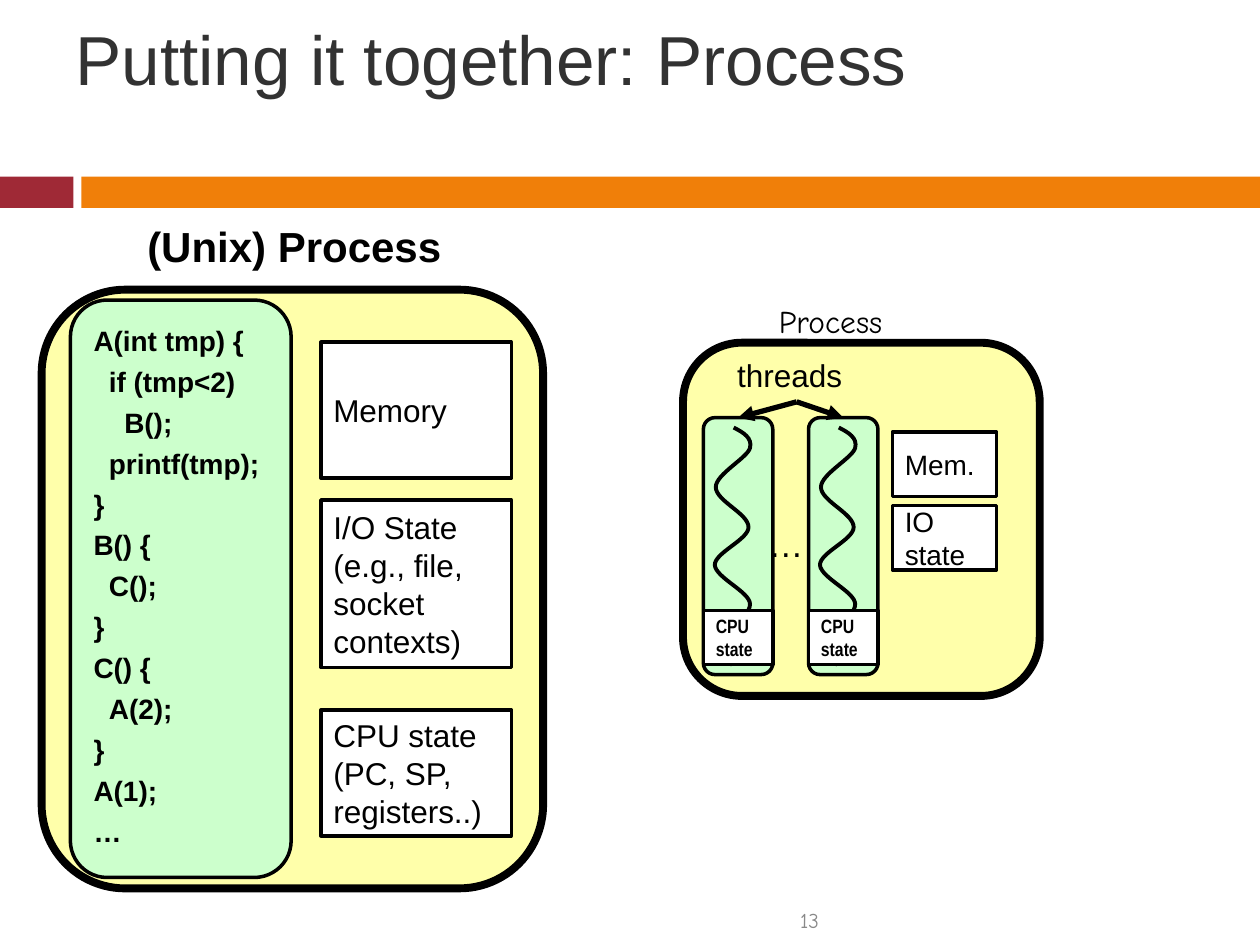
from lxml.etree import SubElement
from pptx import Presentation
from pptx.dml.color import RGBColor
from pptx.enum.shapes import MSO_CONNECTOR, MSO_SHAPE
from pptx.enum.text import MSO_ANCHOR, PP_ALIGN
from pptx.oxml.ns import qn
from pptx.util import Cm, Pt

BLACK, WHITE, YELLOW, GREEN = "000000", "FFFFFF", "FFFFAA", "CCFFCC"
CODE = [
    (0, "A(int tmp) {"), (1, "if (tmp<2)"), (2, "B();"), (1, "printf(tmp);"), (0, "}"),
    (0, "B() {"), (1, "C();"), (0, "}"),
    (0, "C() {"), (1, "A(2);"), (0, "}"),
    (0, "A(1);"), (0, "…"),
]
WAVE_START = (0.61, 0.2)
WAVE_CURVES = [
    ((0.81, 0.3), (0.99, 0.41), (0.94, 0.61)),
    ((0.89, 0.81), (0.25, 1.14), (0.25, 1.4)),
    ((0.25, 1.68), (0.91, 1.93), (0.91, 2.21)),
    ((0.91, 2.46), (0.23, 2.72), (0.23, 2.97)),
    ((0.25, 3.23), (0.94, 3.51), (0.94, 3.76)),
    ((0.94, 4.04), (0.33, 4.37), (0.28, 4.57)),
    ((0.23, 4.78), (0.58, 4.98), (0.58, 4.98)),
]


def rgb(color):
    """Turn a hex string into a colour."""
    return RGBColor.from_string(color)


def write(sp, lines, size, font="Arial", color=BLACK, bold=False,
          anchor=MSO_ANCHOR.MIDDLE, align=PP_ALIGN.LEFT):
    """Write one paragraph per line into a shape and return the paragraphs."""
    tf = sp.text_frame
    tf.word_wrap = True
    tf.vertical_anchor = anchor
    for i, line in enumerate(lines):
        p = tf.add_paragraph() if i else tf.paragraphs[0]
        p.alignment = align
        r = p.add_run()
        r.text = line
        r.font.size, r.font.name, r.font.bold = Pt(size), font, bold
        r.font.color.rgb = rgb(color)
    return tf.paragraphs


def add_box(s, x, y, w, h, fill, line=2, kind=MSO_SHAPE.RECTANGLE):
    """Add a filled box, outlined in black when a line width is given."""
    sp = s.shapes.add_shape(kind, Cm(x), Cm(y), Cm(w), Cm(h))
    sp.shadow.inherit = False
    sp.fill.solid()
    sp.fill.fore_color.rgb = rgb(fill)
    if line:
        sp.line.color.rgb = rgb(BLACK)
        sp.line.width = Pt(line)
    else:
        sp.line.fill.background()
    return sp


def add_round(s, x, y, w, h, fill, line=2):
    """Add a box with rounded corners."""
    return add_box(s, x, y, w, h, fill, line, MSO_SHAPE.ROUNDED_RECTANGLE)


def add_label(s, x, y, w, h, text, size, anchor=MSO_ANCHOR.TOP, **style):
    """Add a one-line text box."""
    sp = s.shapes.add_textbox(Cm(x), Cm(y), Cm(w), Cm(h))
    write(sp, [text], size, anchor=anchor, **style)
    return sp


def add_arrow(s, start, end):
    """Draw an arrow from the bottom of one shape to the top of another."""
    c = s.shapes.add_connector(MSO_CONNECTOR.STRAIGHT, 0, 0, 0, 0)
    c.begin_connect(start, 2)
    c.end_connect(end, 0)
    c.line.color.rgb = rgb(BLACK)
    c.line.width = Pt(3)
    SubElement(c.line._get_or_add_ln(), qn("a:tailEnd"), type="triangle")
    SubElement(c._element.spPr, qn("a:effectLst"))


def add_wave(s, x, y):
    """Draw the wavy thread line as a chain of Bezier curves."""
    fb = s.shapes.build_freeform(Cm(x + WAVE_START[0]), Cm(y + WAVE_START[1]))
    fb.add_line_segments([(Cm(x + px), Cm(y + py)) for _, _, (px, py) in WAVE_CURVES],
                         close=False)
    sp = fb.convert_to_shape()
    for segment, curve in zip(list(sp._element.iter(qn("a:lnTo"))), WAVE_CURVES):
        bezier = segment.makeelement(qn("a:cubicBezTo"))
        for px, py in curve:
            SubElement(bezier, qn("a:pt"), x=str(Cm(x + px) - sp.left),
                       y=str(Cm(y + py) - sp.top))
        segment.getparent().replace(segment, bezier)
    sp.shadow.inherit = False
    sp.fill.background()
    sp.line.color.rgb = rgb(BLACK)
    sp.line.width = Pt(2.25)


def add_frame(s, x, y, w, h):
    """Add the title, the two-colour bar and the page number."""
    add_box(s, x, y + 3.56, 1.48, 0.63, "9F2936", 0)
    add_box(s, x + 1.64, y + 3.56, w - 1.64, 0.63, "F07F09", 0)
    add_label(s, x + 1.27, y + 0.43, 23.7, 1.47, "Putting it together: Process", 39.6,
              MSO_ANCHOR.MIDDLE, color="323232")
    add_label(s, x + 1.7, y + h - 1.02, 15.06, 1.02, "13", 12, MSO_ANCHOR.MIDDLE,
              font="Comic Neue", color="898989", align=PP_ALIGN.RIGHT)


def add_unix_process(s, x, y, w, h):
    """Add the process with its code and its three kinds of state."""
    add_round(s, x, y, w, h, YELLOW, 4.5)
    for top, height, lines in [
        (1.06, 2.74, ["Memory"]),
        (4.24, 3.38, ["I/O State", "(e.g., file, socket contexts)"]),
        (8.47, 2.54, ["CPU state (PC, SP, registers..)"]),
    ]:
        write(add_box(s, x + 5.63, y + top, 3.84, height, WHITE), lines, 18)
    code = add_round(s, x + 0.58, y + 0.21, 4.45, h - 0.43, GREEN)
    paragraphs = write(code, [text for _, text in CODE], 16, bold=True)
    for p, (level, _) in zip(paragraphs, CODE):
        p.line_spacing = 0.8
        p.space_before = Pt(8)
        p._p.get_or_add_pPr().set("marL", str(Cm(0.31 * level)))
    add_label(s, x + 1.88, y - 1.52, 6.5, 1.3, "(Unix) Process", 24, bold=True)


def add_thread(s, x, y, w, h):
    """Add one thread with its wavy line and CPU state."""
    sp = add_round(s, x, y, w, h, GREEN)
    add_wave(s, x, y)
    cpu = add_box(s, x, y + 3.89, w, 1.09, WHITE)
    write(cpu, ["CPU", "state"], 11, "Arial Narrow", bold=True)
    return sp


def add_threaded_process(s, x, y, w, h):
    """Add the process that holds several threads."""
    add_round(s, x, y, w, h, YELLOW, 4.5)
    for top, lines in [(1.8, ["Mem."]), (3.28, ["IO", "state"])]:
        write(add_box(s, x + 4.22, y + top, 2.1, 1.3, WHITE), lines, 16)
    threads = [add_thread(s, x + left, y + 1.51, 1.4, 5.18) for left in (0.41, 2.53)]
    add_label(s, x + 1.47, y + 3.5, 1.35, 1.14, "…", 20)
    label = add_label(s, x + 0.84, y + 0.15, 2.9, 1.04, "threads", 18)
    for thread in threads:
        add_arrow(s, label, thread)
    add_label(s, x + 1.68, y - 0.94, 2.95, 1.04, "Process", 18, font="Comic Neue")


def main():
    """Build and save the slide."""
    prs = Presentation()
    prs.slide_width, prs.slide_height = Cm(25.4), Cm(19.05)
    s = prs.slides.add_slide(prs.slide_layouts[6])
    add_frame(s, 0, 0, 25.4, 19.05)
    add_unix_process(s, 0.84, 5.84, 10.11, 12.07)
    add_threaded_process(s, 13.77, 6.91, 7.19, 7.12)
    prs.save("out.pptx")


if __name__ == "__main__":
    main()
